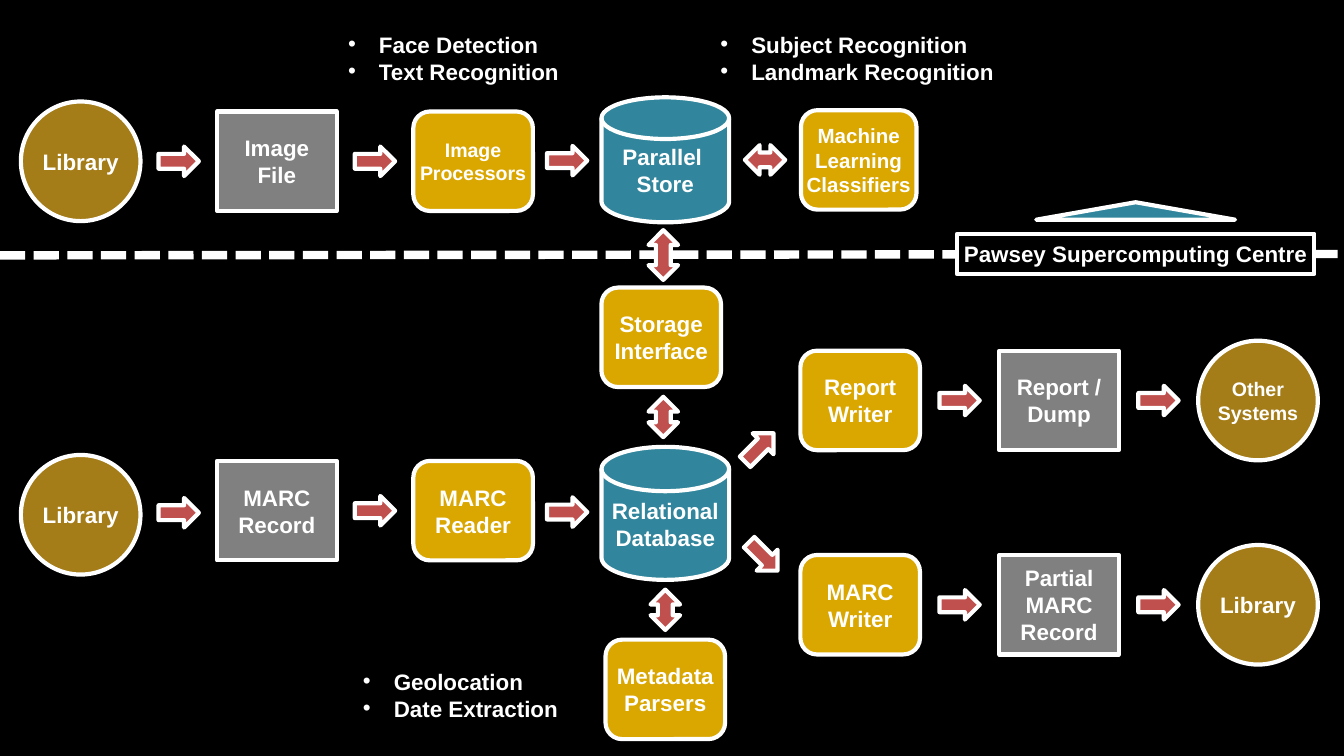
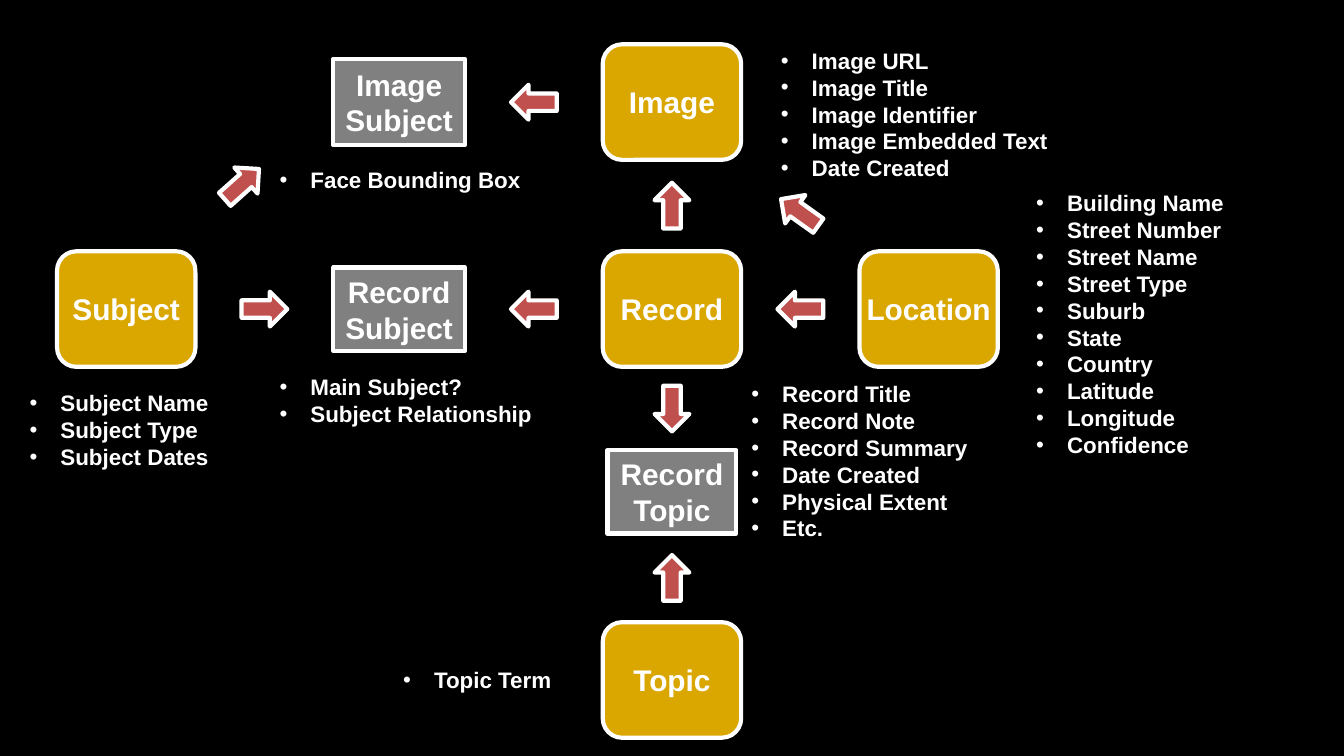
from lxml import etree
from pptx import Presentation, util as u
from pptx.dml.color import RGBColor
from pptx.enum import dml, shapes, text
from pptx.oxml.ns import qn

INK = dict(back="000000", text="FFFFFF", data="808080", step="DAA600",
           store="31859C", party="A47C18", arrow="C0504D")
FONT = "Arial"
WIDE = 10
HIGH = WIDE * 9 / 16
S = shapes.MSO_SHAPE
FORM = dict(data=S.RECTANGLE, step=S.ROUNDED_RECTANGLE,
            store=S.FLOWCHART_MAGNETIC_DISK, party=S.OVAL)
MID = text.MSO_ANCHOR.MIDDLE

COLS = [0.6, 2.06, 3.52, 4.95, 6.4, 7.88, 9.36]
ROWS = [1.2, 2.98, 3.8, 4.5]

FLOW = dict(
    size=12, arrow=(0.3, 0.22),
    dims=dict(data=(0.89, 0.74), step=(0.89, 0.74),
              store=(0.95, 0.93), party=(0.89, 0.89)),
    nodes=dict(
        giver=("party", "Library", COLS[0], ROWS[0]),
        file=("data", "Image\nFile", COLS[1], ROWS[0]),
        proc=("step", "Image Processors", COLS[2], ROWS[0], dict(size=10.5)),
        store=("store", "Parallel \nStore", COLS[3], 1.19),
        learn=("step", "Machine\nLearning\nClassifiers", 6.39, 1.19,
               dict(size=11, w=0.86)),
        face=("step", "Storage Interface", 4.92, 2.51),
        source=("party", "Library", COLS[0], 3.83),
        marc=("data", "MARC\nRecord", COLS[1], ROWS[2]),
        reader=("step", "MARC\nReader", COLS[2], ROWS[2]),
        base=("store", "Relational\nDatabase", COLS[3], 3.82, dict(h=0.99)),
        meta=("step", "Metadata\nParsers", COLS[3], 5.13),
        report=("step", "Report\nWriter", COLS[4], ROWS[1]),
        dump=("data", "Report / Dump", COLS[5], ROWS[1]),
        other=("party", "Other Systems", COLS[6], ROWS[1], dict(size=10.5)),
        writer=("step", "MARC\nWriter", COLS[4], ROWS[3]),
        part=("data", "Partial MARC\nRecord", COLS[5], ROWS[3]),
        taker=("party", "Library", COLS[6], ROWS[3])),
    links=["giver file", "file proc", "proc store", "source marc",
           "marc reader", "reader base", "report dump", "dump other",
           "writer part", "part taker"],
    pairs=["store learn", "base face", "meta base"],
    long=["face store"],
    turns=[(5.65, 3.33, 315), (5.68, 4.14, 45)],
    lists=[
        (2.56, 0.18, 1.95, ["Face Detection", "Text Recognition"]),
        (5.33, 0.18, 2.12, ["Subject Recognition", "Landmark Recognition"]),
        (2.67, 4.92, 1.69, ["Geolocation", "Date Extraction"])])

MODEL = dict(
    size=16, arrow=(0.34, 0.26),
    dims=dict(data=(0.98, 0.62), step=(1.03, 0.86)),
    nodes=dict(
        shown=("data", "Image Subject", 2.97, 0.76, dict(h=0.64)),
        image=("step", "Image", 5, 0.76),
        subject=("step", "Subject", 0.94, 2.3),
        tie=("data", "Record Subject", 2.97, 2.3),
        record=("step", "Record", 5, 2.3),
        place=("step", "Location", 6.91, 2.3),
        tag=("data", "Record Topic", 5, 3.66, dict(w=0.96)),
        topic=("step", "Topic", 5, 5.06)),
    links=["image shown", "subject tie", "record tie", "place record",
           "record image", "record tag", "topic tag"],
    pairs=[], long=[],
    turns=[(5.95, 1.58, 215.5), (1.8, 1.37, 318.3)],
    lists=[
        (0.19, 2.85, 1.6, ["Subject Name", "Subject Type", "Subject Dates"]),
        (2.97, 4.91, 1.6, ["Topic Term"]),
        (2.05, 2.73, 2.18, ["Main Subject?", "Subject Relationship"]),
        (2.05, 1.19, 2.01, ["Face Bounding Box"]),
        (5.78, 0.3, 2.32, ["Image URL", "Image Title", "Image Identifier",
                           "Image Embedded Text", "Date Created"]),
        (7.68, 1.36, 1.49, ["Building Name", "Street Number", "Street Name",
                            "Street Type", "Suburb", "State", "Country",
                            "Latitude", "Longitude", "Confidence"]),
        (5.56, 2.78, 1.92, ["Record Title", "Record Note", "Record Summary",
                            "Date Created", "Physical Extent", "Etc."])])


def tint(name):
    return RGBColor.from_string(INK[name])


def write(shape, paras, size=12, side=0.0, anchor=text.MSO_ANCHOR.TOP,
          align=text.PP_ALIGN.CENTER, bullet=False):
    frame = shape.text_frame
    frame.word_wrap = True
    frame.vertical_anchor = anchor
    frame.margin_left = frame.margin_right = u.Inches(side)
    frame.margin_top = frame.margin_bottom = u.Inches(0.05)
    for i, words in enumerate(paras):
        para = frame.add_paragraph() if i else frame.paragraphs[0]
        if bullet:
            props = para._p.get_or_add_pPr()
            props.set("marL", str(u.Inches(0.23)))
            props.set("indent", str(-u.Inches(0.23)))
            etree.SubElement(props, qn("a:buFont")).set("typeface", FONT)
            etree.SubElement(props, qn("a:buChar")).set("char", "•")
        para.alignment = align
        for j, line in enumerate(words.split("\n")):
            if j:
                para.add_line_break()
            run = para.add_run()
            run.text = line
            run.font.name, run.font.size = FONT, u.Pt(size)
            run.font.bold = True
            run.font.color.rgb = tint("text")
        for gap in para._p.findall(qn("a:br")):
            etree.SubElement(gap, qn("a:rPr")).set("sz", str(int(size * 100)))


def draw(slide, form, mid, dims, fill, turn=0):
    (x, y), (w, h) = mid, dims
    shape = slide.shapes.add_shape(form, u.Inches(x - w / 2), u.Inches(y - h / 2),
                                   u.Inches(w), u.Inches(h))
    shape.shadow.inherit = False
    shape.fill.solid()
    shape.fill.fore_color.rgb = tint(fill)
    shape.line.color.rgb = tint("text")
    shape.line.width = u.Pt(2.25)
    shape.rotation = turn
    return shape


def link(slide, a, b, dims, form):
    (ax, ay, aw, ah), (bx, by, bw, bh) = a, b
    if abs(bx - ax) > abs(by - ay):
        way = 1 if bx > ax else -1
        x, y = (ax + bx + way * (aw - bw) / 2) / 2, (ay + by) / 2
        turn = 0 if way > 0 else 180
    else:
        way = 1 if by > ay else -1
        x, y = (ax + bx) / 2, (ay + by + way * (ah - bh) / 2) / 2
        turn = 90 if way > 0 else 270
    draw(slide, form, (x, y), dims, "arrow", turn)


def chart(slide, plan):
    spots = {}
    for key, (kind, words, x, y, *more) in plan["nodes"].items():
        w, h = plan["dims"][kind]
        look = dict(size=plan["size"], w=w, h=h)
        look.update(*more)
        dims = look["w"], look["h"]
        spots[key] = x, y, *dims
        write(draw(slide, FORM[kind], (x, y), dims, kind), [words],
              size=look["size"], anchor=MID)
    wide, high = plan["arrow"]
    for name, form, span in (("links", S.RIGHT_ARROW, wide),
                             ("pairs", S.LEFT_RIGHT_ARROW, wide),
                             ("long", S.LEFT_RIGHT_ARROW, 0.37)):
        for ends in plan[name]:
            a, b = ends.split()
            link(slide, spots[a], spots[b], (span, high), form)
    for x, y, turn in plan["turns"]:
        draw(slide, S.RIGHT_ARROW, (x, y), plan["arrow"], "arrow", turn)
    for x, y, w, items in plan["lists"]:
        box = slide.shapes.add_textbox(u.Inches(x), u.Inches(y), u.Inches(w),
                                       u.Inches(0.1 + 0.2 * len(items)))
        write(box, items, side=0.03, align=text.PP_ALIGN.LEFT, bullet=True)


def border(slide):
    line = slide.shapes.add_connector(shapes.MSO_CONNECTOR.STRAIGHT, 0,
                                      u.Inches(1.9), u.Inches(WIDE), u.Inches(1.89))
    line.line.color.rgb = tint("text")
    line.line.width = u.Pt(4.5)
    line.line.dash_style = dml.MSO_LINE.SQUARE_DOT
    etree.SubElement(line._element.spPr, qn("a:effectLst"))


def centre(slide):
    draw(slide, S.FLOWCHART_EXTRACT, (8.45, 1.57), (1.48, 0.13), "store")
    sign = draw(slide, S.RECTANGLE, (8.45, 1.89), (2.66, 0.3), "back")
    write(sign, ["Pawsey Supercomputing Centre"], side=0.03)


def main():
    deck = Presentation()
    deck.slide_width, deck.slide_height = u.Inches(WIDE), u.Inches(HIGH)
    back = deck.slide_master.background.fill
    back.solid()
    back.fore_color.rgb = tint("back")
    flow, model = [deck.slides.add_slide(deck.slide_layouts[6]) for _ in range(2)]
    border(flow)
    chart(flow, FLOW)
    centre(flow)
    chart(model, MODEL)
    deck.save("out.pptx")


if __name__ == "__main__":
    main()
